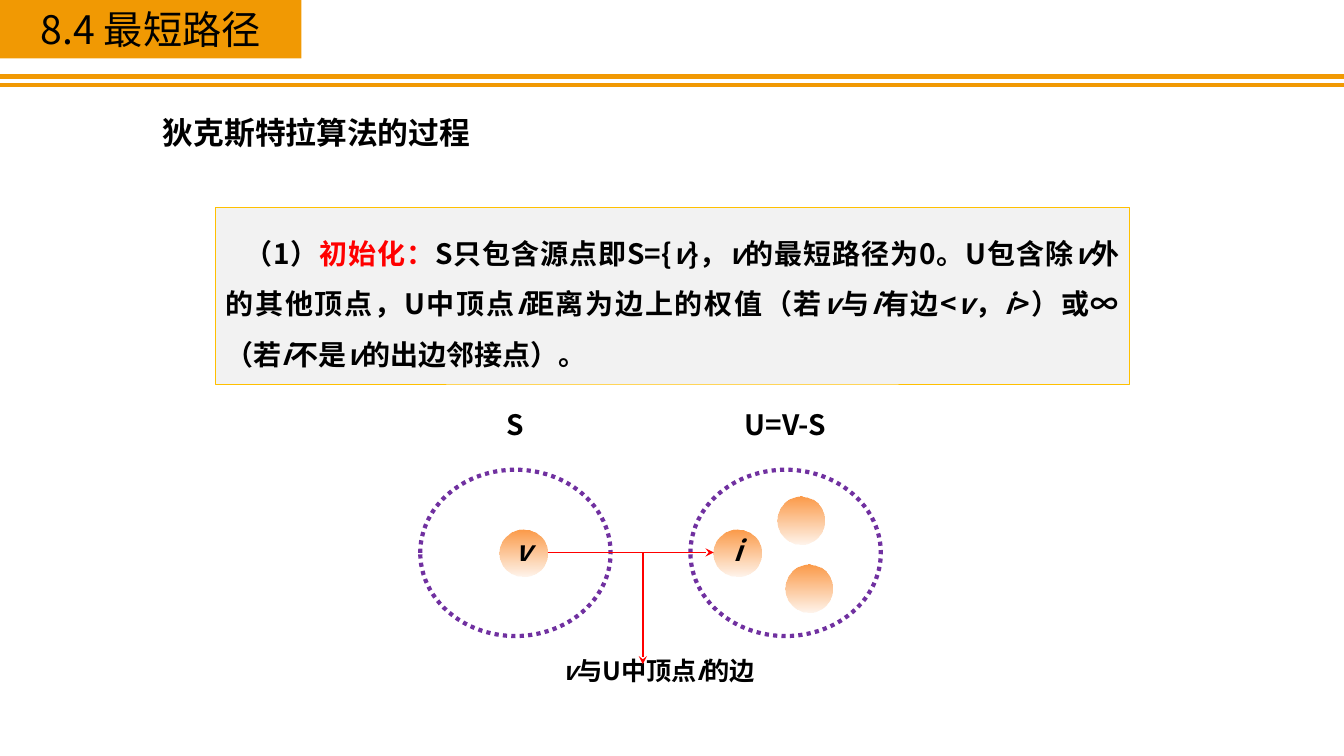
"""Build the slide on the initialisation step of Dijkstra's algorithm."""
from lxml import etree
from pptx import Presentation
from pptx import util as u
from pptx.dml.color import RGBColor
from pptx.enum import dml, shapes, text
from pptx.oxml.ns import qn

THEME = {
    "font": "Noto Sans CJK SC",
    "ink": "000000", "accent": "F19903", "red": "FF0000", "violet": "7030A0",
    "panel": "F2F2F2", "panel_edge": "FFC000", "node": "FC9A48",
    "banner": 28, "heading": 22, "body": 20, "caption": 18,
}
SLIDE_SIZE = (960, 540)
RULE_TOPS = (54.72, 60.48)
ITALIC_MARK = "*"

BANNER = [("8.4 最短路径", "ink")]
HEADING = [("狄克斯特拉算法的过程", "ink")]
BODY = [
    ("（1）", "ink"),
    ("初始化：", "red"),
    ("S只包含源点即S={*v*}，*v*的最短路径为0。U包含除*v*外的其他顶点，"
     "U中顶点*i*距离为边上的权值（若*v*与*i*有边<*v*，*i*>）或∞（若*i*不是*v*的出边邻接点）。", "ink"),
]
CAPTION = [("*v*与U中顶点*i*的边", "ink")]

SET_TOP, SET_SIZE = 335.5, (136, 118.8)
SETS = [("S", 300.2, (345.6, 45.4)), ("U=V-S", 493.2, (521.3, 79.2))]
NODE_SIZE = 34
NODES = [("*v*", 357.1, 378), ("*i*", 509.8, 378), ("", 560.9, 403.2), ("", 555.1, 355)]
EDGE_Y, BRANCH_X, BRANCH_END = 394.6, 459.2, 474.5


def color(name):
    return RGBColor.from_string(THEME[name])


def apply(target, values):
    for name, value in values.items():
        setattr(target, name, value)


def write(shape, parts, size, bold=True, align=text.PP_ALIGN.CENTER, spacing=0.8,
          insets=(7.2, 3.6, 7.2, 3.6), indent=0, **frame_format):
    frame = shape.text_frame
    left, top, right, bottom = map(u.Pt, insets)
    apply(frame, {"margin_left": left, "margin_top": top, "margin_right": right,
                  "margin_bottom": bottom, "word_wrap": True,
                  "vertical_anchor": text.MSO_ANCHOR.TOP,
                  "auto_size": text.MSO_AUTO_SIZE.SHAPE_TO_FIT_TEXT, **frame_format})
    paragraph = frame.paragraphs[0]
    apply(paragraph, {"alignment": align, "line_spacing": spacing})
    if indent:
        paragraph._p.get_or_add_pPr().set("indent", str(u.Pt(indent)))
    for part, color_name in parts:
        for position, piece in enumerate(part.split(ITALIC_MARK)):
            if not piece:
                continue
            run = paragraph.add_run()
            run.text = piece
            apply(run.font, {"name": THEME["font"], "size": u.Pt(THEME[size]),
                             "bold": bold, "italic": position % 2 == 1})
            run.font.color.rgb = color(color_name)
            east_asian = etree.SubElement(run._r.get_or_add_rPr(), qn("a:ea"))
            east_asian.set("typeface", THEME["font"])


def add_shape(slide, kind, box, fill=None, line=None, width=1):
    shape = slide.shapes.add_shape(kind, *map(u.Pt, box))
    shape.shadow.inherit = False
    if fill:
        shape.fill.solid()
        shape.fill.fore_color.rgb = color(fill)
    else:
        shape.fill.background()
    if line:
        shape.line.color.rgb = color(line)
        shape.line.width = u.Pt(width)
    else:
        shape.line.fill.background()
    return shape


def add_text(slide, box, parts, size, **options):
    write(slide.shapes.add_textbox(*map(u.Pt, box)), parts, size, **options)


def add_line(slide, start, end, line, width, arrow=False):
    connector = slide.shapes.add_connector(
        shapes.MSO_CONNECTOR.STRAIGHT, *map(u.Pt, (*start, *end)))
    connector.line.color.rgb = color(line)
    connector.line.width = u.Pt(width)
    if arrow:
        etree.SubElement(connector.line._get_or_add_ln(), qn("a:tailEnd")).set("type", "stealth")
    etree.SubElement(connector._element.spPr, qn("a:effectLst"))


def add_node(slide, label, left, top):
    node = add_shape(slide, shapes.MSO_SHAPE.OVAL, (left, top, NODE_SIZE, NODE_SIZE))
    node.fill.gradient()
    node.fill.gradient_angle = 270
    for stop, position in zip(node.fill.gradient_stops, (0, 1)):
        stop.position = position
        stop.color.rgb = color("node")
    faded = node._element.spPr.findall(".//" + qn("a:gs"))[-1][0]
    etree.SubElement(faded, qn("a:alpha")).set("val", "10000")
    if label:
        write(node, [(label, "ink")], "body", word_wrap=False,
              vertical_anchor=text.MSO_ANCHOR.MIDDLE, auto_size=text.MSO_AUTO_SIZE.NONE)


def add_diagram(slide):
    for label, left, (label_left, label_width) in SETS:
        ring = add_shape(slide, shapes.MSO_SHAPE.OVAL, (left, SET_TOP, *SET_SIZE),
                         line="violet", width=3)
        ring.line.dash_style = dml.MSO_LINE.ROUND_DOT
        add_text(slide, (label_left, 295.9, label_width, 19.4), [(label, "ink")], "body",
                 insets=(0, 0, 0, 0))
    for node in NODES:
        add_node(slide, *node)
    add_text(slide, (362.9, 468.7, 215.3, 24.5), CAPTION, "caption")
    source_right, target_left = NODES[0][1] + NODE_SIZE, NODES[1][1]
    add_line(slide, (source_right, EDGE_Y), (target_left, EDGE_Y), "red", 1, arrow=True)
    add_line(slide, (BRANCH_X, EDGE_Y), (BRANCH_X, BRANCH_END), "red", 1, arrow=True)


def main():
    presentation = Presentation()
    presentation.slide_width, presentation.slide_height = map(u.Pt, SLIDE_SIZE)
    slide = presentation.slides.add_slide(presentation.slide_layouts[6])
    for top in RULE_TOPS:
        add_line(slide, (0, top), (SLIDE_SIZE[0], top), "accent", 3)
    banner = add_shape(slide, shapes.MSO_SHAPE.RECTANGLE, (0, 0, 215.3, 41.8), "accent")
    write(banner, BANNER, "banner", bold=False, insets=(4.3, 10.1, 4.3, 4.3))
    panel = add_shape(slide, shapes.MSO_SHAPE.RECTANGLE, (154.1, 148.3, 652.3, 126),
                      "panel", "panel_edge", 0.5)
    write(panel, BODY, "body", align=text.PP_ALIGN.JUSTIFY, spacing=1.5,
          insets=(7.2, 8.6, 7.2, 8.6), indent=13.5)
    add_text(slide, (81.4, 82.8, 289.4, 28.8), HEADING, "heading")
    add_diagram(slide)
    presentation.save("out.pptx")


if __name__ == "__main__":
    main()
